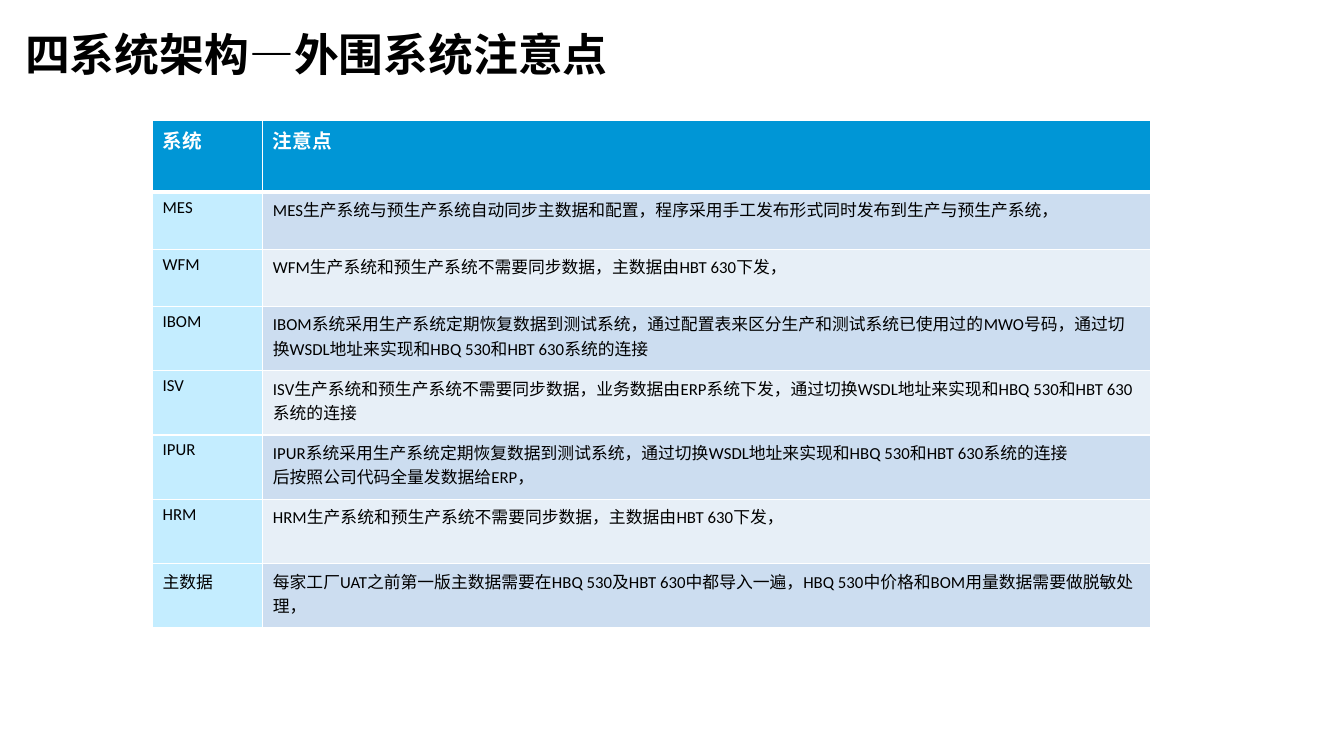
"""Build the slide listing the points to watch for each peripheral system."""
from dataclasses import dataclass

from lxml import etree
from pptx import Presentation
from pptx.dml.color import RGBColor
from pptx.enum.text import MSO_ANCHOR
from pptx.oxml.ns import qn
from pptx.util import Pt

MIDDLE = MSO_ANCHOR.MIDDLE

BLACK, WHITE = "000000", "FFFFFF"
HEADER_FILL, SYSTEM_FILL = "0096D6", "C4EDFF"
BAND_FILLS = ("CCDDF0", "E7EFF7")
THIN, THICK = 1, 3
COLUMN_WIDTHS = (78.8, 634.2)

TITLE_FORMAT = {"name": "Arial", "size": Pt(32), "bold": True}
HEADER_FORMAT = {"name": "Calibri", "size": Pt(14), "bold": True}
BODY_FORMAT = {"name": "Calibri", "size": Pt(12), "bold": False}


@dataclass(frozen=True)
class SystemRow:
    system: str
    note: str
    height: float


HEADER = SystemRow("系统", "注意点", 51.6)
SYSTEMS = (
    SystemRow("MES", "MES生产系统与预生产系统自动同步主数据和配置，程序采用手工发布形式同时发布到生产与预生产系统，", 40.7),
    SystemRow("WFM", "WFM生产系统和预生产系统不需要同步数据，主数据由HBT 630下发，", 40.7),
    SystemRow("IBOM", "IBOM系统采用生产系统定期恢复数据到测试系统，通过配置表来区分生产和测试系统已使用过的MWO号码，"
              "通过切换WSDL地址来实现和HBQ 530和HBT 630系统的连接", 46),
    SystemRow("ISV", "ISV生产系统和预生产系统不需要同步数据，业务数据由ERP系统下发，"
              "通过切换WSDL地址来实现和HBQ 530和HBT 630系统的连接", 46),
    SystemRow("IPUR", "IPUR系统采用生产系统定期恢复数据到测试系统，通过切换WSDL地址来实现和HBQ 530和HBT 630系统的连接\n"
              "后按照公司代码全量发数据给ERP，", 46),
    SystemRow("HRM", "HRM生产系统和预生产系统不需要同步数据，主数据由HBT 630下发，", 46),
    SystemRow("主数据", "每家工厂UAT之前第一版主数据需要在HBQ 530及HBT 630中都导入一遍，"
              "HBQ 530中价格和BOM用量数据需要做脱敏处理，", 46),
)


def rgb(color: str) -> RGBColor:
    return RGBColor.from_string(color)


def write(frame, text: str, color: str, font_format: dict) -> None:
    frame.text = text
    for paragraph in frame.paragraphs:
        for run in paragraph.runs:
            for attribute, value in font_format.items():
                setattr(run.font, attribute, value)
            run.font.color.rgb = rgb(color)


def add_borders(cell, top: int, bottom: int) -> None:
    properties = cell._tc.get_or_add_tcPr()
    widths = {"a:lnL": THIN, "a:lnR": THIN, "a:lnT": top, "a:lnB": bottom}
    for tag, width in widths.items():
        line = etree.SubElement(properties, qn(tag), w=str(Pt(width)))
        fill = etree.SubElement(line, qn("a:solidFill"))
        etree.SubElement(fill, qn("a:srgbClr"), val=WHITE)


def add_title(slide, text: str) -> None:
    frame = slide.shapes.add_textbox(Pt(18), Pt(18.7), Pt(888.5), Pt(38.9)).text_frame
    frame.word_wrap = True
    frame.vertical_anchor = MIDDLE
    for side in ("left", "top", "right", "bottom"):
        setattr(frame, f"margin_{side}", 0)
    write(frame, text, BLACK, TITLE_FORMAT)


def add_systems_table(slide) -> None:
    entries = (HEADER, *SYSTEMS)
    table = slide.shapes.add_table(
        len(entries), len(COLUMN_WIDTHS), Pt(109), Pt(85.8),
        Pt(sum(COLUMN_WIDTHS)), Pt(sum(entry.height for entry in entries)),
    ).table
    for column, width in zip(table.columns, COLUMN_WIDTHS):
        column.width = Pt(width)
    for index, entry in enumerate(entries):
        table.rows[index].height = Pt(entry.height)
        is_header = index == 0
        fills = (HEADER_FILL,) * 2 if is_header else (SYSTEM_FILL, BAND_FILLS[(index - 1) % 2])
        color, font_format = (WHITE, HEADER_FORMAT) if is_header else (BLACK, BODY_FORMAT)
        for cell, text, fill in zip(table.rows[index].cells, (entry.system, entry.note), fills):
            write(cell.text_frame, text, color, font_format)
            add_borders(cell, THICK if index == 1 else THIN, THICK if is_header else THIN)
            cell.fill.solid()
            cell.fill.fore_color.rgb = rgb(fill)


def main() -> None:
    deck = Presentation()
    deck.slide_width, deck.slide_height = Pt(960), Pt(540)
    slide = deck.slides.add_slide(deck.slide_layouts[6])
    add_title(slide, "四系统架构—外围系统注意点")
    add_systems_table(slide)
    deck.save("out.pptx")


if __name__ == "__main__":
    main()
